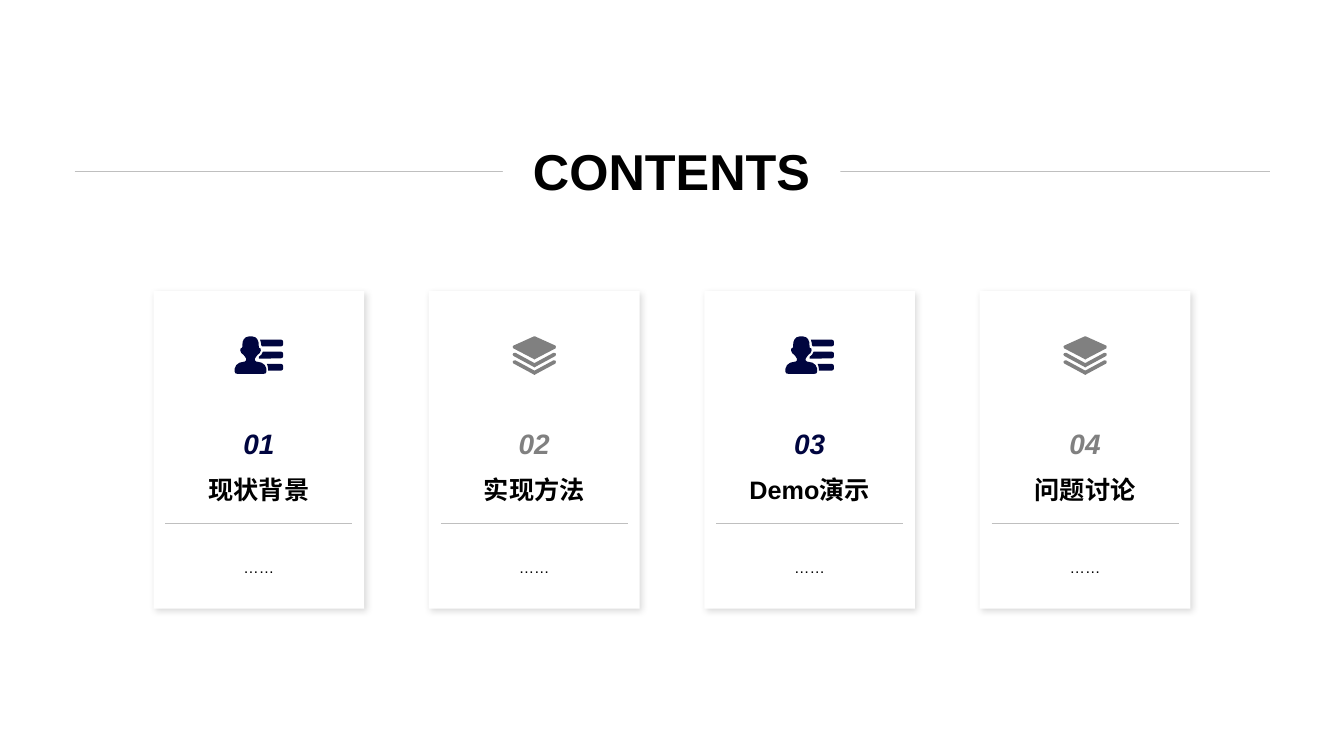
from lxml import etree
from pptx import Presentation
from pptx.dml.color import RGBColor
from pptx.enum.shapes import MSO_CONNECTOR, MSO_SHAPE
from pptx.enum.text import MSO_ANCHOR, MSO_AUTO_SIZE, PP_ALIGN
from pptx.oxml import parse_xml
from pptx.oxml.ns import nsdecls, qn
from pptx.util import Cm, Pt

RECTANGLE = MSO_SHAPE.RECTANGLE
STRAIGHT = MSO_CONNECTOR.STRAIGHT
MIDDLE = MSO_ANCHOR.MIDDLE
CENTER = PP_ALIGN.CENTER
NO_AUTOFIT = MSO_AUTO_SIZE.NONE
TITLE_ONLY = 5

NAVY, GREY, BLACK, WHITE, RULE = "00053F", "808080", "000000", "FFFFFF", "BFBFBF"


def color(hex_text):
    return RGBColor.from_string(hex_text)


# Icon outlines, in hundredths of a centimetre
def bar(top, left_edge):
    """A list bar, rounded on the right; left_edge runs from bottom to top."""
    right_end = [(117, 0), (121, 2), (122, 5), (122, 12), (121, 15), (117, 17)]
    return [(x, top + y) for x, y in right_end + left_edge]


def person_list():
    right_half = [(45, 0), (52, 2), (57, 7), (60, 14), (61, 28), (65, 30),
                  (66, 35), (63, 42), (58, 46), (54, 51), (51, 56), (51, 60),
                  (54, 63), (59, 64), (68, 66), (76, 72), (80, 81), (80, 89),
                  (78, 93), (73, 94)]
    left_half = [(80 - x, y) for x, y in reversed(right_half)]
    return [right_half + left_half,
            bar(8, [(69, 17), (67, 14), (66, 7), (64, 0)]),
            bar(38, [(61, 18), (61, 13), (67, 8), (71, 0)]),
            bar(69, [(84, 17), (84, 11), (83, 5), (81, 0)])]


def layers():
    top_sheet = [(53, 0), (57, 0), (108, 23), (109, 26), (108, 30), (58, 56),
                 (55, 58), (52, 56), (2, 30), (0, 26), (2, 23)]
    lower_sheet = [(0, 64), (2, 61), (7, 60), (55, 86), (103, 60), (108, 61),
                   (109, 64), (108, 68), (58, 95), (55, 97), (52, 95), (2, 68)]
    return [top_sheet, [(x, y - 19) for x, y in lower_sheet], lower_sheet]


class ContentsSlide:
    font_name = "Arial"

    def __init__(self, deck):
        self.slide = deck.slides.add_slide(deck.slide_layouts[TITLE_ONLY])
        self.shapes = self.slide.shapes

    def set_text(self, shape, words, size, ink, bold=False, italic=False):
        frame = shape.text_frame
        frame.word_wrap = True
        frame.auto_size = NO_AUTOFIT
        frame.vertical_anchor = MIDDLE
        frame.text = words
        paragraph = frame.paragraphs[0]
        paragraph.alignment = CENTER
        font = paragraph.font
        font.name, font.size = self.font_name, Pt(size)
        font.bold, font.italic = bold, italic
        font.color.rgb = color(ink)

    def title(self, words, left, top, width, height):
        heading = self.shapes.title
        heading.left, heading.top = Cm(left), Cm(top)
        heading.width, heading.height = Cm(width), Cm(height)
        heading.fill.solid()
        heading.fill.fore_color.rgb = color(WHITE)
        self.set_text(heading, words, 36, BLACK, bold=True)
        # Bring to the front, so that the white fill interrupts the rule
        self.shapes.element.append(heading.element)

    def text(self, words, center, top, height, size, ink, **style):
        width = 4.95
        box = self.shapes.add_textbox(Cm(center - width / 2), Cm(top), Cm(width), Cm(height))
        self.set_text(box, words, size, ink, **style)

    def rule(self, center, y, width):
        line = self.shapes.add_connector(
            STRAIGHT, Cm(center - width / 2), Cm(y), Cm(center + width / 2), Cm(y))
        line.line.color.rgb = color(RULE)
        line.line.width = Pt(0.25)
        etree.SubElement(line.element.spPr, qn("a:effectLst"))

    def card(self, left, top, width, height):
        panel = self.shapes.add_shape(RECTANGLE, Cm(left), Cm(top), Cm(width), Cm(height))
        panel.fill.solid()
        panel.fill.fore_color.rgb = color(WHITE)
        panel.line.fill.background()
        panel.shadow.inherit = False
        panel.element.spPr.find(qn("a:effectLst")).append(parse_xml(
            f'<a:outerShdw {nsdecls("a")} blurRad="{Pt(5)}" dist="{Pt(2)}" dir="2700000" '
            f'algn="tl" rotWithShape="0"><a:srgbClr val="{BLACK}">'
            '<a:alpha val="15000"/></a:srgbClr></a:outerShdw>'))

    def icon(self, outlines, center, top, fill):
        width = max(x for outline in outlines for x, _ in outline) / 100
        builder = self.shapes.build_freeform(*outlines[0][0], scale=Cm(0.01))
        for outline in outlines:
            builder.move_to(*outline[0])
            builder.add_line_segments(outline[1:], close=True)
        drawing = builder.convert_to_shape(Cm(center - width / 2), Cm(top))
        drawing.fill.solid()
        drawing.fill.fore_color.rgb = color(fill)
        drawing.line.fill.background()
        drawing.shadow.inherit = False


def main():
    deck = Presentation()
    deck.slide_width, deck.slide_height = Cm(33.87), Cm(19.05)
    contents = ContentsSlide(deck)

    # Chapter cards, with alternating icons and accents
    first_left, pitch, card_width = 3.87, 6.94, 5.31
    accents = [(person_list(), NAVY), (layers(), GREY)]
    chapters = ["现状背景", "实现方法", "Demo演示", "问题讨论"]
    for index, chapter in enumerate(chapters):
        symbol, accent = accents[index % 2]
        left = first_left + index * pitch
        center = left + card_width / 2
        contents.card(left, 7.34, card_width, 8)
        contents.icon(symbol, center, 8.48, accent)
        contents.text("……", center, 13.79, 1.02, 11, BLACK)
        contents.rule(center, 13.18, 4.71)
        contents.text(f"{index + 1:02}", center, 10.57, 1.22, 20, accent, bold=True, italic=True)
        contents.text(chapter, center, 11.81, 1.07, 18, BLACK, bold=True)

    # Heading over a full-width rule
    contents.rule(16.94, 4.32, 30.12)
    contents.title("CONTENTS", 12.67, 3.4, 8.51, 1.8)

    deck.save("out.pptx")


if __name__ == "__main__":
    main()
